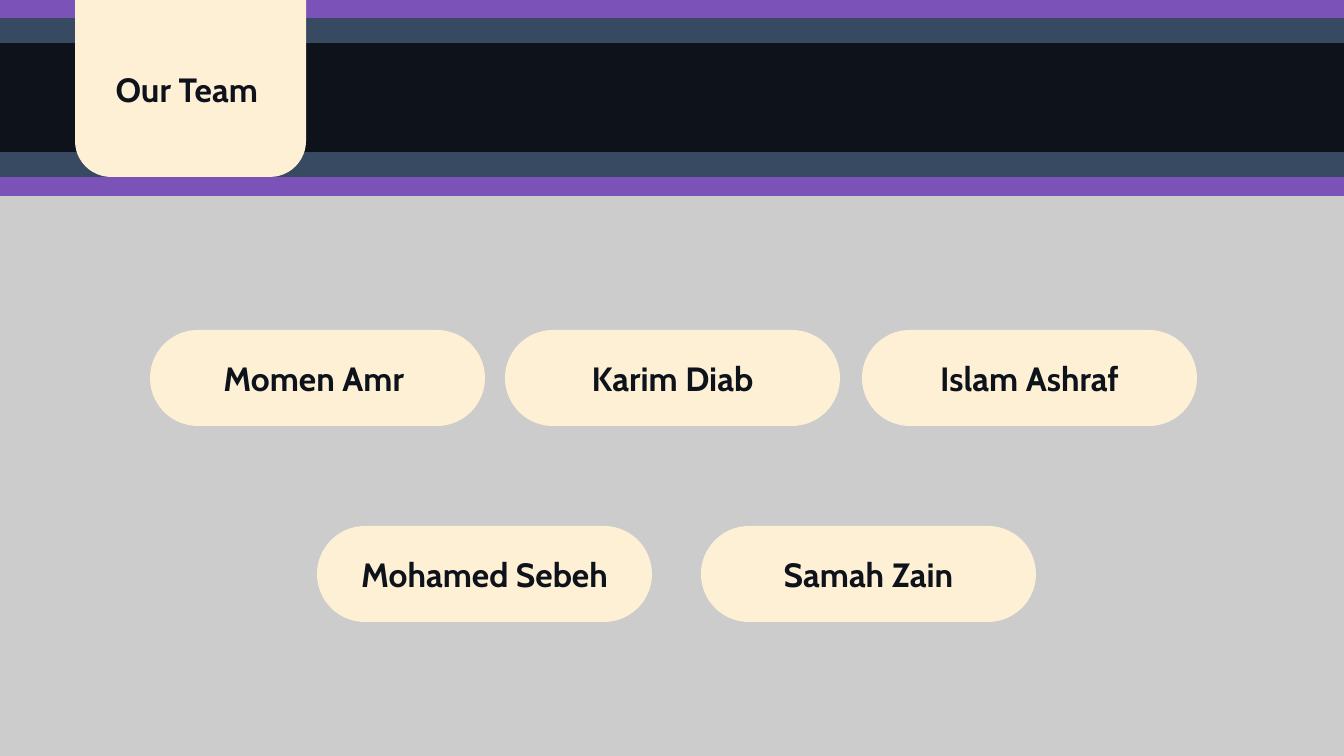
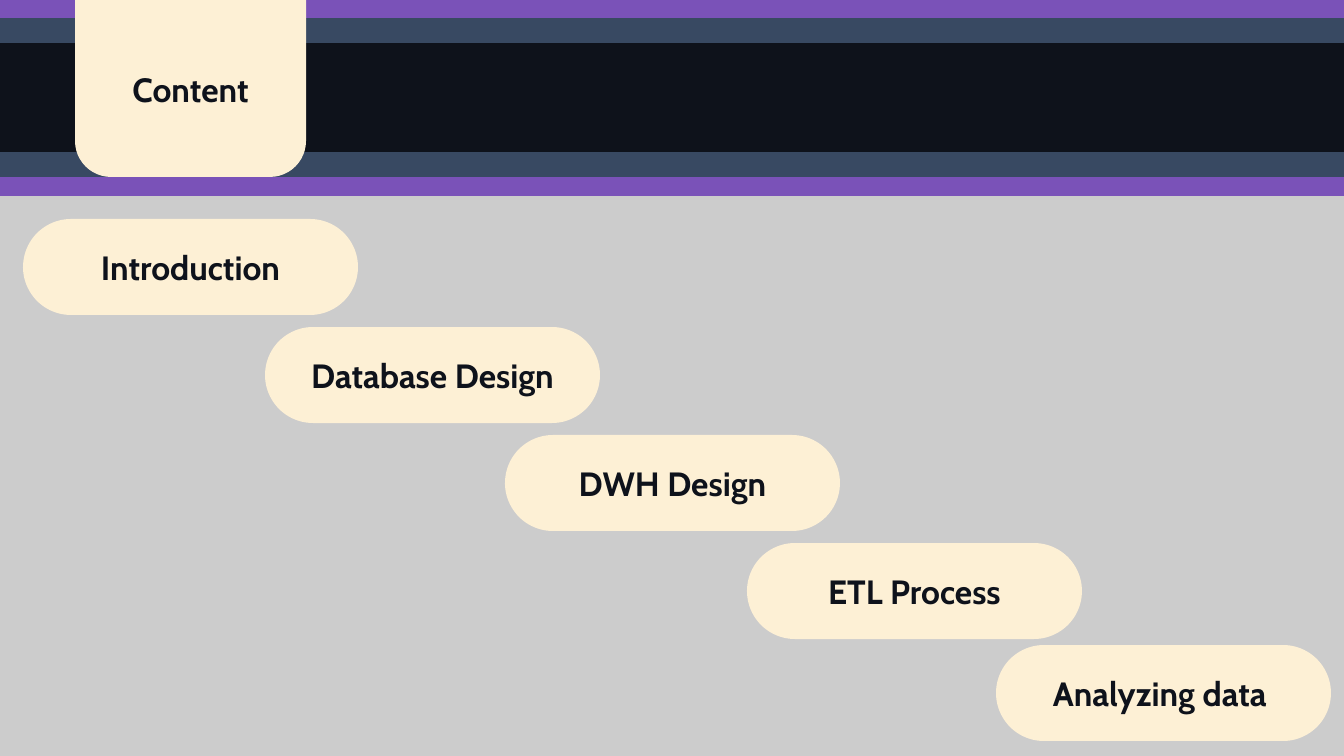
"""Build the team and content slides under a shared banded header."""
import pptx
import pptx.util
import pptx.dml.color
import pptx.enum.shapes
import pptx.enum.text

HUES = {"page": "CCCCCC", "edge": "7A52B8", "trim": "384962", "ink": "0E121B", "cream": "FDF0D5"}
WIDE, HIGH = 1344, 756
SCALE = 914400 / 100.8
KIND = pptx.enum.shapes.MSO_SHAPE

BANDS = [("edge", 0, 196), ("trim", 18, 177), ("ink", 43, 152)]
TAB = (75, 0, 231, 177)
RADIUS = 36
PILL = (335, 96)

SLIDES = [
    ("Our Team ", [
        ("Momen Amr ", 150, 330),
        ("Karim Diab", 505, 330),
        ("Islam Ashraf", 862, 330),
        ("Mohamed Sebeh", 317, 526),
        ("Samah Zain", 701, 526),
    ]),
    ("Content", [
        ("Introduction", 23, 219),
        ("Database Design", 265, 327),
        ("DWH Design", 505, 435),
        ("ETL Process", 747, 543),
        ("Analyzing data ", 996, 645),
    ]),
]


def px(count):
    return pptx.util.Emu(round(count * SCALE))


def block(slide, kind, box, hue, label=""):
    shape = slide.shapes.add_shape(kind, *map(px, box))
    shape.shadow.inherit = False
    shape.fill.solid()
    shape.fill.fore_color.rgb = pptx.dml.color.RGBColor.from_string(HUES[hue])
    shape.line.fill.background()
    if label:
        frame = shape.text_frame
        frame.word_wrap = True
        frame.vertical_anchor = pptx.enum.text.MSO_ANCHOR.MIDDLE
        line = frame.paragraphs[0]
        line.alignment = pptx.enum.text.PP_ALIGN.CENTER
        run = line.add_run()
        run.text = label
        run.font.name = "Cabin"
        run.font.size = pptx.util.Pt(24)
        run.font.bold = True
        run.font.color.rgb = pptx.dml.color.RGBColor.from_string(HUES["ink"])
    return shape


deck = pptx.Presentation()
deck.slide_width, deck.slide_height = px(WIDE), px(HIGH)

for title, pills in SLIDES:
    slide = deck.slides.add_slide(deck.slide_layouts[6])
    back = slide.background.fill
    back.solid()
    back.fore_color.rgb = pptx.dml.color.RGBColor.from_string(HUES["page"])

    for hue, top, base in BANDS:
        block(slide, KIND.RECTANGLE, (0, top, WIDE, base - top), hue)

    tab = block(slide, KIND.ROUND_2_SAME_RECTANGLE, TAB, "cream", title)
    tab.adjustments[0] = 0
    tab.adjustments[1] = RADIUS / TAB[3]
    tab.text_frame.margin_top = px(11)
    tab.text_frame.margin_bottom = 0

    for label, left, top in pills:
        pill = block(slide, KIND.ROUNDED_RECTANGLE, (left, top, *PILL), "cream", label)
        pill.adjustments[0] = 0.5

deck.save("out.pptx")
